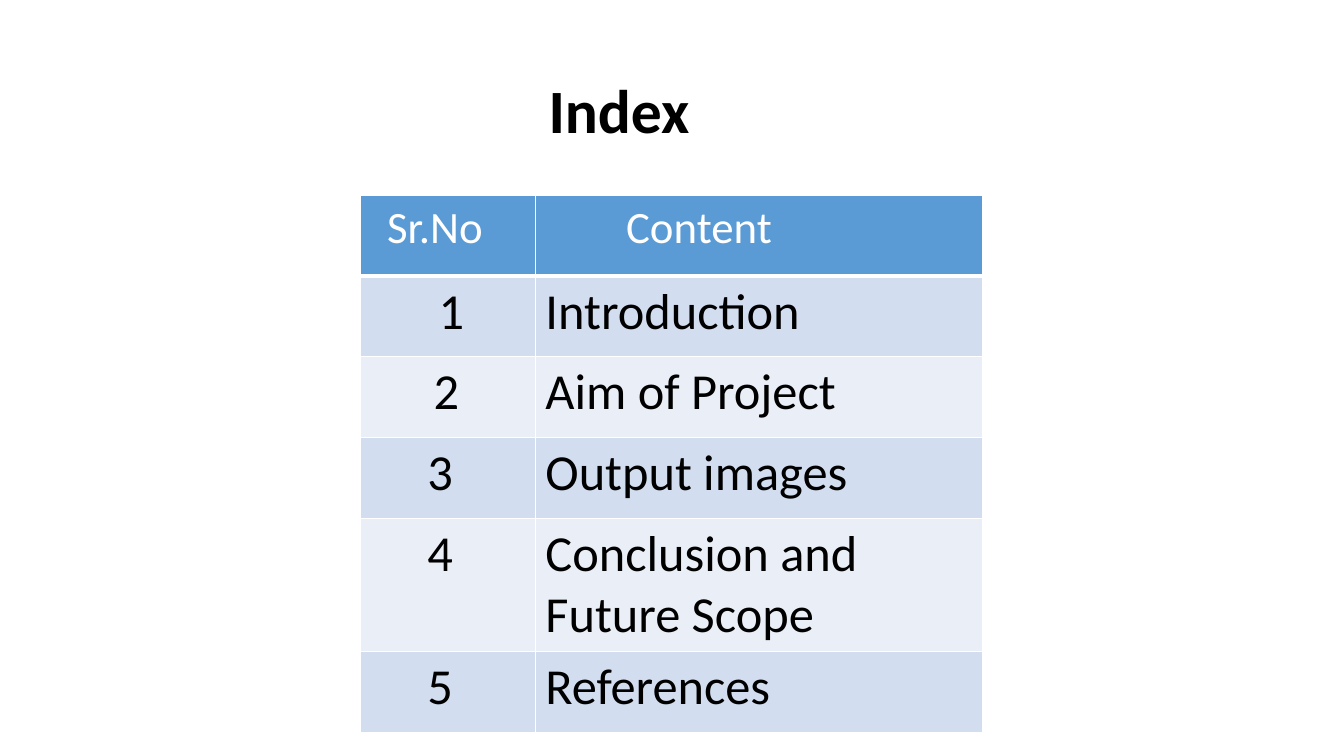
"""Build the Index slide: a title above a numbered table of contents."""
from typing import NamedTuple

from lxml import etree
from pptx import Presentation
from pptx.dml.color import RGBColor
from pptx.enum.text import MSO_ANCHOR, PP_ALIGN
from pptx.oxml.ns import qn
from pptx.util import Inches, Pt

LEFT = PP_ALIGN.LEFT
MIDDLE = MSO_ANCHOR.MIDDLE
FONT = "Calibri"
WHITE, BLACK = "FFFFFF", "000000"
HEADER_FILL = "5B9BD5"
BAND_FILLS = ("D2DEEF", "EAEFF7")
COLUMN_WIDTHS = (1.74, 4.44)
ROW_HEIGHT = 0.8
MARGIN = 0.1


class Entry(NamedTuple):
    number: str
    content: str
    number_indent: float
    content_indent: float = 0


ENTRIES = (
    Entry("Sr.No", "Content", 0.17, 0.8),
    Entry("1", "Introduction", 0.68),
    Entry("2", "Aim of Project", 0.63),
    Entry("3", "Output images", 0.57),
    Entry("4", "Conclusion and Future Scope", 0.57),
    Entry("5", "References", 0.57),
)


def color(value: str) -> RGBColor:
    return RGBColor.from_string(value)


def write(frame, text: str, size: int, ink: str, bold: bool = False) -> None:
    frame.text = text
    para = frame.paragraphs[0]
    para.alignment = LEFT
    font = para.runs[0].font
    font.name, font.size, font.bold = FONT, Pt(size), bold
    font.color.rgb = color(ink)


def add_borders(cell, bottom: float) -> None:
    properties = cell._tc.get_or_add_tcPr()
    widths = {"a:lnL": 1, "a:lnR": 1, "a:lnT": 1, "a:lnB": bottom}
    for position, (tag, width) in enumerate(widths.items()):
        line = etree.Element(qn(tag), w=str(Pt(width)))
        fill = etree.SubElement(line, qn("a:solidFill"))
        etree.SubElement(fill, qn("a:srgbClr"), val=WHITE)
        properties.insert(position, line)


def add_title(page) -> None:
    title = page.shapes.title
    title.left, title.top = Inches(0.92), Inches(0.4)
    title.width, title.height = Inches(11.5), Inches(1.45)
    frame = title.text_frame
    write(frame, "Index", 44, BLACK, bold=True)
    frame.vertical_anchor = MIDDLE
    frame.margin_left = Inches(4.52)
    frame.paragraphs[0].line_spacing = 0.9


def add_index(page) -> None:
    holder = page.shapes.add_table(
        len(ENTRIES), len(COLUMN_WIDTHS), Inches(3.57), Inches(1.94),
        Inches(sum(COLUMN_WIDTHS)), Inches(ROW_HEIGHT * len(ENTRIES)))
    table = holder.table
    for column, width in zip(table.columns, COLUMN_WIDTHS):
        column.width = Inches(width)
    for index, entry in enumerate(ENTRIES):
        table.rows[index].height = Inches(ROW_HEIGHT)
        header = index == 0
        fill = HEADER_FILL if header else BAND_FILLS[(index - 1) % 2]
        items = ((entry.number, entry.number_indent),
                 (entry.content, entry.content_indent))
        for cell, (text, indent) in zip(table.rows[index].cells, items):
            write(cell.text_frame, text, 32 if header else 36,
                  WHITE if header else BLACK)
            cell.margin_left = Inches(MARGIN + indent)
            cell.fill.solid()
            cell.fill.fore_color.rgb = color(fill)
            add_borders(cell, bottom=3 if header else 1)


def main() -> None:
    deck = Presentation()
    deck.slide_width, deck.slide_height = Inches(13.33), Inches(7.5)
    page = deck.slides.add_slide(deck.slide_layouts[5])
    add_title(page)
    add_index(page)
    deck.save("out.pptx")


if __name__ == "__main__":
    main()
